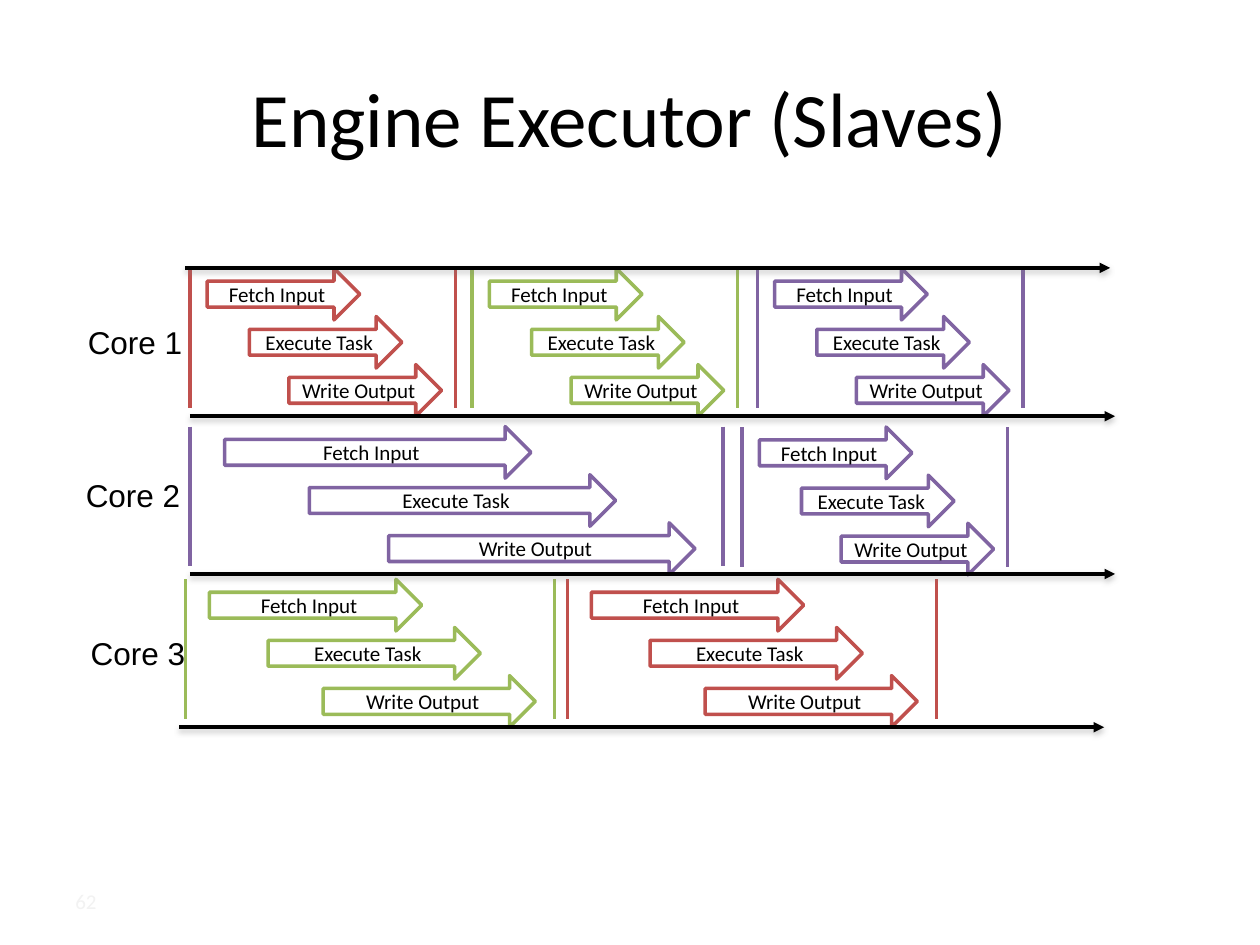
from lxml.etree import SubElement
from pptx import Presentation
from pptx.dml.color import RGBColor
from pptx.enum.shapes import MSO_CONNECTOR as Connector, MSO_SHAPE as Shape
from pptx.enum.text import MSO_ANCHOR as Anchor, PP_ALIGN as Align
from pptx.oxml.ns import qn
from pptx.util import Cm, Pt

BLACK = RGBColor(0x00, 0x00, 0x00)
WHITE = RGBColor(0xFF, 0xFF, 0xFF)
PALE = RGBColor(0xF2, 0xF2, 0xF2)
RED = RGBColor(0xC0, 0x50, 0x4D)
GREEN = RGBColor(0x9B, 0xBB, 0x59)
PURPLE = RGBColor(0x80, 0x64, 0xA2)

# Step name and its start as a share of the task's width
STEPS = [("Fetch Input", 0.065), ("Execute Task", 0.224), ("Write Output", 0.373)]
STEP_WIDTH = 0.575
STEP_HEIGHT = 1.04
STEP_GAP = 0.97
TASK_HEIGHT = 2.81
SHORT, MEDIUM, LONG = 5.35, 7.44, 10.74

# Left, top, width and colour of each task, in centimetres
TASKS = [
    (3.83, 5.41, SHORT, RED),
    (9.52, 5.41, SHORT, GREEN),
    (15.27, 5.41, SHORT, PURPLE),
    (3.83, 8.6, LONG, PURPLE),
    (14.96, 8.61, SHORT, PURPLE),
    (3.74, 11.68, MEDIUM, GREEN),
    (11.44, 11.68, MEDIUM, RED),
]
CORES = [("Core 1", 1.52, 6.38), ("Core 2", 1.48, 9.47), ("Core 3", 1.58, 12.65)]
AXES = [(3.73, 5.4), (3.83, 8.39), (3.83, 11.57), (3.61, 14.66)]
AXIS_LENGTH = 18.65


def write_text(frame, text, size=12, font="Calibri", color=BLACK,
               align=Align.LEFT, anchor=Anchor.TOP, wrap=True):
    frame.word_wrap = wrap
    frame.vertical_anchor = anchor
    paragraph = frame.paragraphs[0]
    paragraph.alignment = align
    run = paragraph.add_run()
    run.text = text
    run.font.size = Pt(size)
    run.font.name = font
    run.font.color.rgb = color


def add_label(slide, text, left, top, width, height, **text_format):
    box = slide.shapes.add_textbox(Cm(left), Cm(top), Cm(width), Cm(height))
    write_text(box.text_frame, text, **text_format)


def add_line(shapes, x1, y1, x2, y2, color):
    """Add a straight line and return it with its empty effect list."""
    line = shapes.add_connector(Connector.STRAIGHT, Cm(x1), Cm(y1), Cm(x2), Cm(y2))
    line.line.color.rgb = color
    line.line.width = Pt(2)
    effects = SubElement(line._element.spPr, qn("a:effectLst"))
    return line, effects


def add_axis(slide, left, y):
    """Add a time axis with an arrowhead and a soft shadow below."""
    axis, effects = add_line(slide.shapes, left, y, left + AXIS_LENGTH, y, BLACK)
    SubElement(axis.line._get_or_add_ln(), qn("a:tailEnd"), type="triangle")
    shadow = SubElement(effects, qn("a:outerShdw"), blurRad="40000",
                        dist="20000", dir="5400000", rotWithShape="0")
    color = SubElement(shadow, qn("a:srgbClr"), val="808080")
    SubElement(color, qn("a:alpha"), val="38000")


def add_step(shapes, text, left, top, width, color):
    arrow = shapes.add_shape(Shape.RIGHT_ARROW, Cm(left), Cm(top),
                             Cm(width), Cm(STEP_HEIGHT))
    arrow.shadow.inherit = False
    arrow.fill.solid()
    arrow.fill.fore_color.rgb = WHITE
    arrow.line.color.rgb = color
    arrow.line.width = Pt(2)
    frame = arrow.text_frame
    frame.margin_left = frame.margin_right = 0
    frame.margin_top = frame.margin_bottom = 0
    write_text(frame, text, align=Align.CENTER, anchor=Anchor.MIDDLE, wrap=False)


def add_task(slide, left, top, width, color):
    """Group two boundary lines with the three steps between them."""
    shapes = slide.shapes.add_group_shape().shapes
    for x in (left, left + width):
        add_line(shapes, x, top, x, top + TASK_HEIGHT, color)
    for index, (text, start) in enumerate(STEPS):
        add_step(shapes, text, left + start * width, top + index * STEP_GAP,
                 STEP_WIDTH * width, color)


def main():
    presentation = Presentation()
    presentation.slide_width = Cm(25.4)
    presentation.slide_height = Cm(19.05)
    slide = presentation.slides.add_slide(presentation.slide_layouts[6])

    add_label(slide, "Engine Executor (Slaves)", 1.27, 0.76, 22.86, 3.18,
              size=44, align=Align.CENTER, anchor=Anchor.MIDDLE)
    for task in TASKS:
        add_task(slide, *task)
    for text, left, top in CORES:
        add_label(slide, text, left, top, 2.51, 1.02, size=18, font="Arial", wrap=False)
    for left, y in AXES:
        add_axis(slide, left, y)
    add_label(slide, "62", 1.27, 17.66, 5.93, 1.01,
              color=PALE, anchor=Anchor.MIDDLE)

    presentation.save("out.pptx")


if __name__ == "__main__":
    main()
